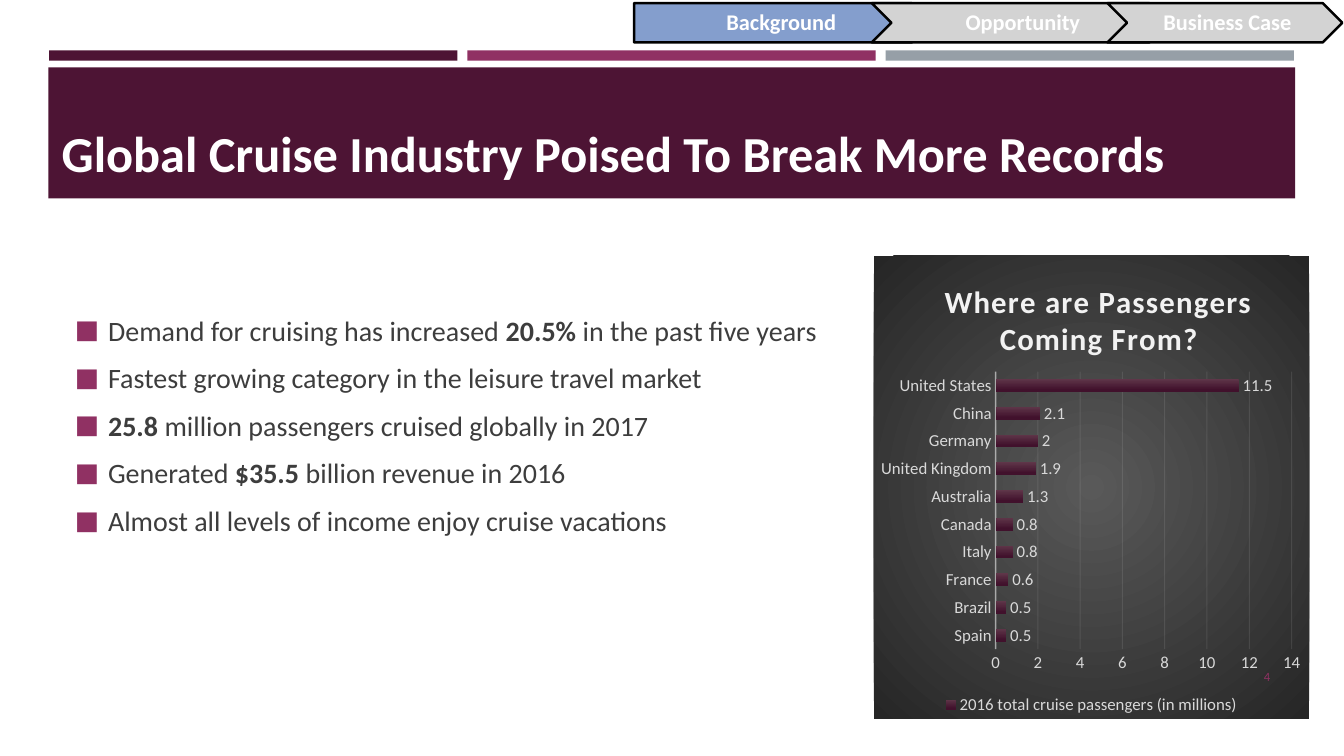
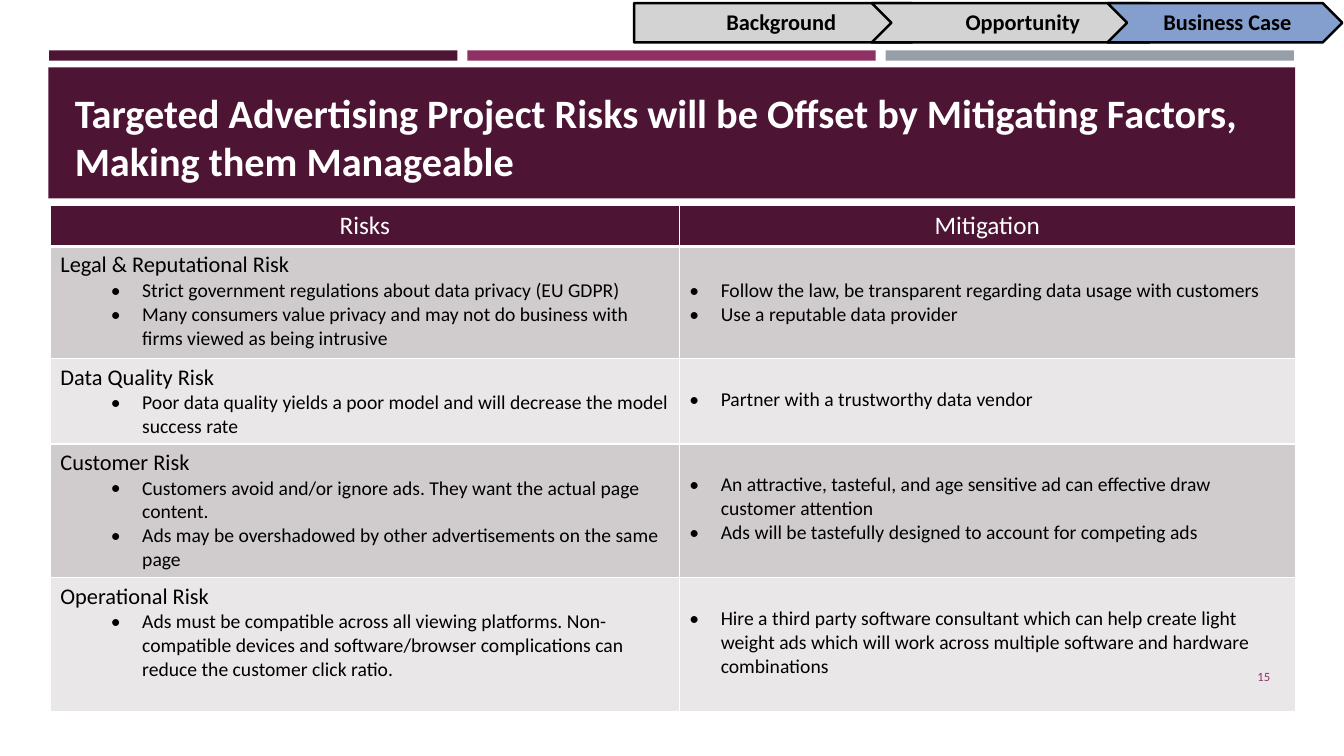
import pptx
import pptx.chart.data
import pptx.dml.color
import pptx.enum.chart
import pptx.enum.shapes
import pptx.enum.text
import pptx.oxml
import pptx.oxml.ns
import pptx.util

Cm, Pt = pptx.util.Cm, pptx.util.Pt
SHAPE = pptx.enum.shapes.MSO_SHAPE
ALIGN = pptx.enum.text.PP_ALIGN
ANCHOR = pptx.enum.text.MSO_ANCHOR
NS = pptx.oxml.ns.nsdecls("a", "c")

FONT = "Calibri"
COLORS = {
    "plum": "4D1434", "magenta": "903163", "steel": "969FA7",
    "white": "FFFFFF", "black": "000000", "text": "3D3D3D",
    "step": "D3D3D3", "step_on": "849ECD",
    "row_dark": "D0CCCE", "row_light": "E9E7E8",
    "label": "D9D9D9", "pale": "F2F2F2",
    "chart_in": "595959", "chart_out": "262626",
    "bar_top": "5F3649", "bar_end": "41112C",
}

# Navigation steps: name, shape, left and width in cm
STEPS = [
    ("Background", SHAPE.PENTAGON, 15.98, 7.49),
    ("Opportunity", SHAPE.CHEVRON, 21.97, 7.49),
    ("Business Case", SHAPE.CHEVRON, 27.91, 5.92),
]

# Asterisks enclose bold words
FACTS = [
    "Demand for cruising has increased *20.5%* in the past five years",
    "Fastest growing category in the leisure travel market",
    "*25.8* million passengers cruised globally in 2017",
    "Generated *$35.5* billion revenue in 2016",
    "Almost all levels of income enjoy cruise vacations",
]

PASSENGERS = {
    "Spain": 0.5, "Brazil": 0.5, "France": 0.6, "Italy": 0.8, "Canada": 0.8,
    "Australia": 1.3, "United Kingdom": 1.9, "Germany": 2, "China": 2.1,
    "United States": 11.5,
}

# Row height in cm, top margin of the mitigation, risk, its points, mitigation
RISKS = [
    (2.83, 0.82, "Legal & Reputational Risk",
     ["Strict government regulations about data privacy (EU GDPR)",
      "Many consumers value privacy and may not do business with firms "
      "viewed as being intrusive"],
     ["Follow the law, be transparent regarding data usage with customers",
      "Use a reputable data provider"]),
    (2.14, 0.73, "Data Quality Risk",
     ["Poor data quality yields a poor model and will decrease the model "
      "success rate"],
     ["Partner with a trustworthy data vendor"]),
    (3.37, 0.73, "Customer Risk",
     ["Customers avoid and/or ignore ads. They want the actual page content.",
      "Ads may be overshadowed by other advertisements on the same page"],
     ["An attractive, tasteful, and age sensitive ad can effective draw "
      "customer attention",
      "Ads will be tastefully designed to account for competing ads"]),
    (3.37, 0.73, "Operational Risk",
     ["Ads must be compatible across all viewing platforms. Non-compatible "
      "devices and software/browser complications can reduce the customer "
      "click ratio."],
     ["Hire a third party software consultant which can help create light "
      "weight ads which will work across multiple software and hardware "
      "combinations"]),
]


def rgb(name):
    return pptx.dml.color.RGBColor.from_string(COLORS[name])


def apply(obj, **fmt):
    for name, value in fmt.items():
        setattr(obj, name, value)


def box(left, top, width, height):
    return Cm(left), Cm(top), Cm(width), Cm(height)


def style(font, size, color, bold=False):
    apply(font, name=FONT, size=Pt(size), bold=bold)
    font.color.rgb = rgb(color)


def add_run(p, text, size, color, bold=False):
    r = p.add_run()
    r.text = text
    style(r.font, size, color, bold)
    return r


def next_paragraph(tf, index):
    return tf.add_paragraph() if index else tf.paragraphs[0]


def set_bullet(p, char, left, hang, color=None, percent=100):
    pPr = p._p.get_or_add_pPr()
    pPr.set("marL", str(Cm(left)))
    pPr.set("indent", str(-Cm(hang)))
    parts = [f'<a:buSzPct {NS} val="{percent * 1000}"/>',
             f'<a:buFont {NS} typeface="{FONT}"/>',
             f'<a:buChar {NS} char="{char}"/>']
    if color:
        parts.insert(0, f'<a:buClr {NS}><a:srgbClr val="{COLORS[color]}"/>'
                        '</a:buClr>')
    for part in parts:
        pPr.append(pptx.oxml.parse_xml(part))


# Shared frame
def add_shape(slide, kind, place, fill, line=None):
    sp = slide.shapes.add_shape(kind, *box(*place))
    sp.shadow.inherit = False
    sp.fill.solid()
    sp.fill.fore_color.rgb = rgb(fill)
    if line:
        sp.line.color.rgb = rgb(line)
        sp.line.width = Pt(1.75)
    else:
        sp.line.fill.background()
    return sp


def add_bands(slide):
    bands = [((1.24 + i * 10.54, 1.27, 10.29, 0.26), color)
             for i, color in enumerate(("plum", "magenta", "steel"))]
    bands.append(((1.22, 1.7, 31.42, 3.3), "plum"))
    for place, color in bands:
        sp = add_shape(slide, SHAPE.RECTANGLE, place, color)
        slide.shapes._spTree.insert(2, sp._element)


def add_steps(slide, current, color):
    for name, kind, left, width in STEPS:
        fill = "step_on" if name == current else "step"
        sp = add_shape(slide, kind, (left, 0.08, width, 0.99), fill, "black")
        tf = sp.text_frame
        first = kind == SHAPE.PENTAGON
        apply(tf, margin_left=Cm(0.23 if first else 0.18),
              margin_right=Cm(0.05), vertical_anchor=ANCHOR.MIDDLE)
        p = tf.paragraphs[0]
        apply(p, alignment=ALIGN.CENTER, line_spacing=0.9)
        add_run(p, name, 16, color, True)


def add_page_number(slide, number):
    tf = slide.shapes.add_textbox(*box(29.34, 16.54, 2.92, 1.02)).text_frame
    apply(tf, word_wrap=True, vertical_anchor=ANCHOR.MIDDLE)
    p = tf.paragraphs[0]
    p.alignment = ALIGN.RIGHT
    add_run(p, number, 9, "magenta")


def move(sp, place, anchor):
    left, top, width, height = box(*place)
    apply(sp, left=left, top=top, width=width, height=height)
    apply(sp.text_frame, word_wrap=True, vertical_anchor=anchor,
          auto_size=pptx.enum.text.MSO_AUTO_SIZE.NONE)


def add_slide(prs, layout, title, size, place):
    slide = prs.slides.add_slide(prs.slide_layouts[layout])
    add_bands(slide)
    sp = slide.shapes.title
    move(sp, place, ANCHOR.BOTTOM)
    p = sp.text_frame.paragraphs[0]
    p.alignment = ALIGN.LEFT
    add_run(p, title, size, "white", True)
    return slide


# Bullet list
def fill_list(sp, items):
    move(sp, (1.63, 7.76, 20.2, 6.4), ANCHOR.TOP)
    for i, item in enumerate(items):
        p = next_paragraph(sp.text_frame, i)
        set_bullet(p, "■", 0.84, 0.84, "magenta", 92)
        apply(p, space_before=Pt(4 if i else 0), space_after=Pt(6))
        for j, part in enumerate(item.split("*")):
            if part:
                add_run(p, part, 20, "text", j % 2 == 1)


# Chart
def set_layout(parent, target="", **pos):
    for old in parent.findall(pptx.oxml.ns.qn("c:layout")):
        parent.remove(old)
    modes = "".join(f'<c:{k}Mode val="edge"/>' for k in "xy")
    values = "".join(f'<c:{k} val="{v}"/>' for k, v in pos.items())
    index = len(parent.findall(pptx.oxml.ns.qn("c:tx")))
    parent.insert(index, pptx.oxml.parse_xml(
        f"<c:layout {NS}><c:manualLayout>{target}{modes}{values}"
        "</c:manualLayout></c:layout>"))


def set_line(line, width, colors, alpha):
    line.width = Pt(width)
    line.color.rgb = rgb("pale")
    for clr in colors():
        clr.append(pptx.oxml.parse_xml(
            f'<a:alpha {NS} val="{alpha * 1000}"/>'))


def set_chart_fill(chart):
    stops = "".join(
        f'<a:gs pos="{pos}"><a:srgbClr val="{COLORS[c]}"/></a:gs>'
        for pos, c in ((0, "chart_in"), (100000, "chart_out")))
    sides = " ".join(f'{side}="50000"' for side in "ltrb")
    chart._chartSpace.chart.addnext(pptx.oxml.parse_xml(
        f'<c:spPr {NS}><a:gradFill><a:gsLst>{stops}</a:gsLst>'
        f'<a:path path="circle"><a:fillToRect {sides}/></a:path>'
        '</a:gradFill><a:ln><a:noFill/></a:ln></c:spPr>'))


def add_passenger_chart(slide):
    xl = pptx.enum.chart
    data = pptx.chart.data.CategoryChartData()
    data.categories = list(PASSENGERS)
    data.add_series("2016 total cruise passengers (in millions)",
                    list(PASSENGERS.values()))
    chart = slide.shapes.add_chart(xl.XL_CHART_TYPE.BAR_CLUSTERED,
                                   *box(22.02, 6.45, 10.97, 11.66), data).chart
    style(chart.font, 12, "label")
    set_chart_fill(chart)

    # Title and legend
    p = chart.chart_title.text_frame.paragraphs[0]
    r = add_run(p, "Where are Passengers Coming From?", 22, "pale", True)
    r._r.get_or_add_rPr().set("spc", "100")
    set_layout(chart.chart_title._element, x=0.15, y=0.04)
    chart.has_legend = True
    apply(chart.legend, position=xl.XL_LEGEND_POSITION.BOTTOM,
          include_in_layout=False)
    style(chart.legend.font, 12, "label")

    # Axes
    cat, val = chart.category_axis, chart.value_axis
    for axis in (cat, val):
        apply(axis, major_tick_mark=xl.XL_TICK_MARK.NONE,
              minor_tick_mark=xl.XL_TICK_MARK.NONE)
        style(axis.tick_labels.font, 12, "label")
    apply(val, minimum_scale=0, maximum_scale=14, major_unit=2,
          has_major_gridlines=True)
    val.format.line.fill.background()
    set_line(cat.format.line, 1,
             lambda: cat._element.xpath("c:spPr//a:srgbClr"), 54)
    set_line(val.major_gridlines.format.line, 0.75,
             lambda: val._element.xpath("c:majorGridlines//a:srgbClr"), 10)

    # Bars and labels
    plot = chart.plots[0]
    apply(plot, gap_width=115, overlap=-20, vary_by_categories=False,
          has_data_labels=True)
    apply(plot.data_labels, show_value=True,
          position=xl.XL_LABEL_POSITION.OUTSIDE_END)
    style(plot.data_labels.font, 12, "label")
    fill = plot.series[0].format.fill
    fill.gradient()
    fill.gradient_angle = 270
    for stop, pos, color in zip(fill.gradient_stops, (0, 0.84),
                                ("bar_top", "bar_end")):
        stop.position = pos
        stop.color.rgb = rgb(color)
    set_layout(chart._chartSpace.chart.plotArea,
               '<c:layoutTarget val="inner"/>',
               x=0.28, y=0.25, w=0.68, h=0.6)


# Table
def format_cell(cell, fill, bottom=1):
    tcPr = cell._tc.get_or_add_tcPr()
    for side, width in (("L", 1), ("R", 1), ("T", 1), ("B", bottom)):
        tcPr.append(pptx.oxml.parse_xml(
            f'<a:ln{side} {NS} w="{Pt(width)}"><a:solidFill>'
            f'<a:srgbClr val="{COLORS["white"]}"/></a:solidFill></a:ln{side}>'))
    cell.fill.solid()
    cell.fill.fore_color.rgb = rgb(fill)


def fill_points(tf, points, left, start=0):
    for i, point in enumerate(points, start):
        p = next_paragraph(tf, i)
        set_bullet(p, "•", left, 0.79)
        add_run(p, point, 14, "black")


def add_risk_table(slide):
    heights = [1.02] + [risk[0] for risk in RISKS]
    table = slide.shapes.add_table(
        len(heights), 2, *box(1.27, 5.18, 31.37, sum(heights))).table
    for col, width in zip(table.columns, (15.85, 15.52)):
        col.width = Cm(width)
    for row, height in zip(table.rows, heights):
        row.height = Cm(height)
    for cell, head in zip(table.rows[0].cells, ("Risks", "Mitigation")):
        format_cell(cell, "plum", 3)
        p = cell.text_frame.paragraphs[0]
        p.alignment = ALIGN.CENTER
        add_run(p, head, 18, "white")
    for i, (_, margin, risk, points, answers) in enumerate(RISKS, 1):
        left, right = table.rows[i].cells
        for cell in (left, right):
            format_cell(cell, "row_dark" if i % 2 else "row_light")
        add_run(left.text_frame.paragraphs[0], risk, 16, "black")
        fill_points(left.text_frame, points, 2.06, 1)
        right.margin_top = Cm(margin)
        fill_points(right.text_frame, answers, 0.79)


def main():
    prs = pptx.Presentation()
    apply(prs, slide_width=Cm(33.87), slide_height=Cm(19.05))

    # Industry background
    s = add_slide(prs, 1, "Global Cruise Industry Poised To Break More Records",
                  36, (1.3, 1.9, 30.96, 2.82))
    fill_list(s.placeholders[1], FACTS)
    add_passenger_chart(s)
    add_page_number(s, "4")
    add_steps(s, "Background", "white")

    # Risks and mitigation
    s = add_slide(prs, 5, "Targeted Advertising Project Risks will be Offset by "
                  "Mitigating Factors, Making them Manageable",
                  28.8, (1.63, 1.96, 30.63, 2.82))
    add_risk_table(s)
    add_page_number(s, "15")
    add_steps(s, "Business Case", "black")

    prs.save("out.pptx")


if __name__ == "__main__":
    main()
